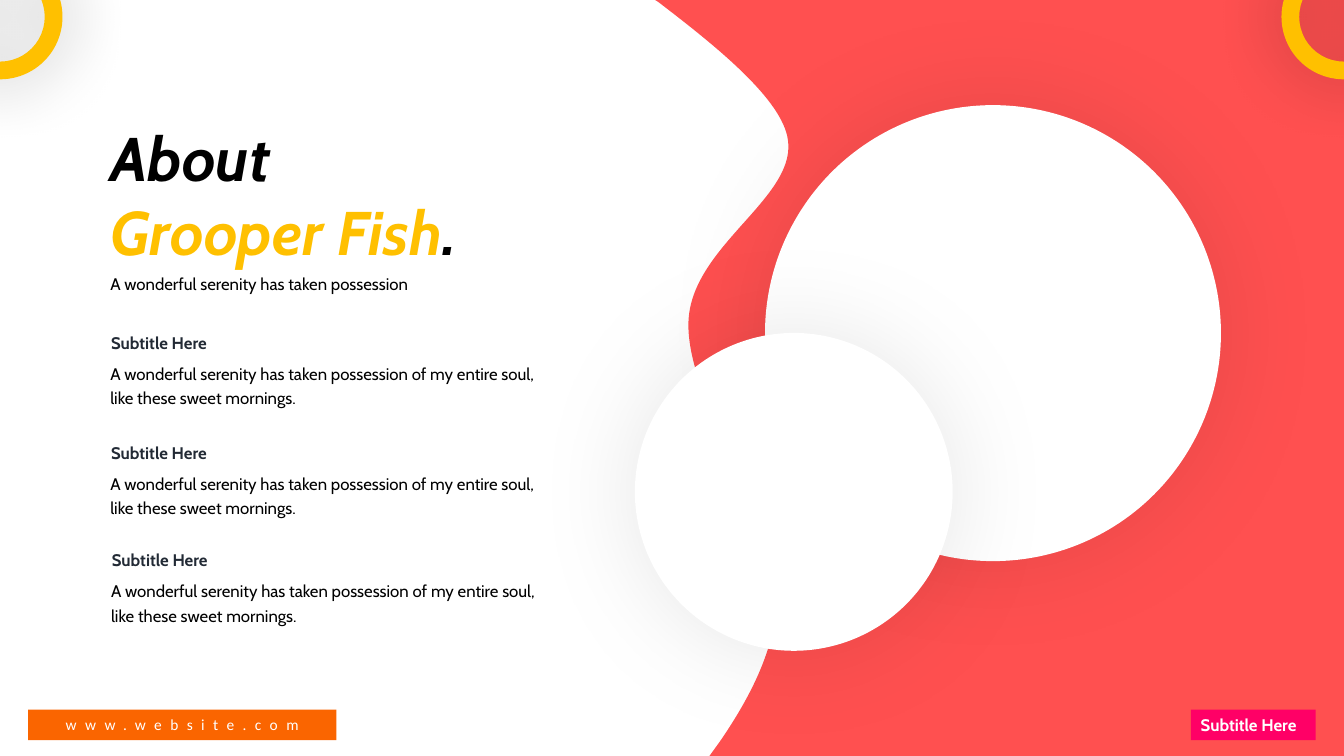
from dataclasses import dataclass

from lxml import etree
from pptx import Presentation
from pptx.dml.color import RGBColor
from pptx.enum.shapes import MSO_SHAPE
from pptx.enum.text import MSO_ANCHOR, MSO_AUTO_SIZE, PP_ALIGN
from pptx.oxml.ns import qn
from pptx.shapes.autoshape import Shape
from pptx.slide import Slide
from pptx.util import Cm, Pt

ELLIPSE, DONUT = MSO_SHAPE.OVAL, MSO_SHAPE.DONUT
RECTANGLE, ROUNDED = MSO_SHAPE.RECTANGLE, MSO_SHAPE.ROUNDED_RECTANGLE
TOP, MIDDLE = MSO_ANCHOR.TOP, MSO_ANCHOR.MIDDLE
LEFT, CENTER = PP_ALIGN.LEFT, PP_ALIGN.CENTER
GROW = MSO_AUTO_SIZE.SHAPE_TO_FIT_TEXT

SLIDE_WIDTH, SLIDE_HEIGHT = 33.87, 19.05
BLACK, WHITE, SLATE = "000000", "FFFFFF", "222A35"
CORAL, GOLD, PINK, ORANGE = "FF5050", "FFC000", "FF0066", "FA6500"

Point = tuple[float, float]


@dataclass
class Box:
    left: float
    top: float
    width: float
    height: float

    def lengths(self) -> tuple[Cm, Cm, Cm, Cm]:
        return Cm(self.left), Cm(self.top), Cm(self.width), Cm(self.height)


@dataclass
class Style:
    size: float = 12
    color: str = BLACK
    bold: bool = False
    italic: bool = False
    line_spacing: float | None = None
    font: str = "Cabin"


@dataclass
class Shadow:
    opacity: int  # percent
    blur: float  # points


@dataclass
class Section:
    left: float
    top: float


TITLE = Style(size=44, bold=True, italic=True)
TAGLINE = Style(line_spacing=1.5)
HEADING = Style(color=SLATE, bold=True, line_spacing=1.3)
BODY = Style(line_spacing=1.2)
TAG = Style(color=WHITE, bold=True)
WEBSITE = Style(size=11, color=WHITE, font="Calibri")

CIRCLE_SHADOW = Shadow(opacity=9, blur=77)
RING_SHADOW = Shadow(opacity=33, blur=49)
CIRCLES = [Box(19.28, 2.65, 11.49, 11.49), Box(16, 8.39, 8.01, 8.01)]
RING_SIZE, RING_TOP = 3.15, -1.15

TEXT_LEFT = 2.53
SECTIONS = [Section(TEXT_LEFT, 8.1), Section(TEXT_LEFT, 10.87), Section(2.55, 13.58)]
HEADING_INDENT, BODY_DROP = 0.02, 0.84
SUBTITLE = "Subtitle Here"
SENTENCE = "A wonderful serenity has taken possession"
SECTION_TEXT = SENTENCE + " of my entire soul, like these sweet mornings."

WAVE_TOP: list[Point] = [(16.51, 0), (16.59, 0.05)]
WAVE_CURVES: list[tuple[Point, Point, Point]] = [
    ((17.88, 1.04), (19.61, 2.39), (19.84, 3.43)),
    ((20.19, 4.95), (17.4, 6.17), (17.35, 8.13)),
    ((17.3, 10.08), (19.58, 13.18), (19.56, 15.19)),
    ((19.53, 16.43), (18.82, 17.7), (18.14, 18.69)),
]
WAVE_END: list[Point] = [(17.88, SLIDE_HEIGHT), (SLIDE_WIDTH, SLIDE_HEIGHT), (SLIDE_WIDTH, 0)]


def rgb(color: str) -> RGBColor:
    return RGBColor.from_string(color)


def paint(shape: Shape, color: str) -> None:
    shape.fill.solid()
    shape.fill.fore_color.rgb = rgb(color)
    shape.line.fill.background()
    shape.shadow.inherit = False


def add_glow(shape: Shape, shadow: Shadow) -> None:
    """Add a soft shadow centred behind the shape."""
    effects = shape._element.spPr.find(qn("a:effectLst"))
    outer = etree.SubElement(effects, qn("a:outerShdw"), blurRad=str(Pt(shadow.blur)),
                             dist="0", dir="0", algn="ctr", rotWithShape="0")
    color = etree.SubElement(outer, qn("a:srgbClr"), val=BLACK)
    etree.SubElement(color, qn("a:alpha"), val=str(shadow.opacity * 1000))


def add_filled(slide: Slide, kind: MSO_SHAPE, box: Box, color: str) -> Shape:
    shape = slide.shapes.add_shape(kind, *box.lengths())
    paint(shape, color)
    return shape


def write(shape: Shape, lines: list[str], style: Style, align: PP_ALIGN = LEFT) -> None:
    frame = shape.text_frame
    for index, line in enumerate(lines):
        paragraph = frame.add_paragraph() if index else frame.paragraphs[0]
        paragraph.text = line
        paragraph.alignment = align
        paragraph.line_spacing = style.line_spacing
        font = paragraph.font
        font.name, font.size = style.font, Pt(style.size)
        font.bold, font.italic = style.bold, style.italic
        font.color.rgb = rgb(style.color)


def add_text(slide: Slide, box: Box, lines: list[str], style: Style) -> Shape:
    text_box = slide.shapes.add_textbox(*box.lengths())
    text_box.text_frame.word_wrap = True
    text_box.text_frame.auto_size = GROW
    write(text_box, lines, style)
    return text_box


def add_wave(slide: Slide) -> None:
    """Draw the outline with straight lines, then merge each three into a curve."""
    curve_points = [point for curve in WAVE_CURVES for point in curve]
    corners = [(Cm(x), Cm(y)) for x, y in WAVE_TOP + curve_points + WAVE_END]
    builder = slide.shapes.build_freeform(*corners[0])
    builder.add_line_segments(corners[1:], close=True)
    wave = builder.convert_to_shape()
    paint(wave, CORAL)

    lines = list(wave._element.iter(qn("a:lnTo")))
    first = len(WAVE_TOP) - 1
    for start in range(first, first + len(curve_points), 3):
        curve = etree.Element(qn("a:cubicBezTo"))
        lines[start].addprevious(curve)
        for line in lines[start:start + 3]:
            curve.append(line[0])
            line.getparent().remove(line)


def add_title(slide: Slide) -> None:
    title = add_text(slide, Box(TEXT_LEFT, 2.9, 13.26, 4.01), ["About", "Grooper Fish"], TITLE)
    name = title.text_frame.paragraphs[1]
    name.runs[0].font.color.rgb = rgb(GOLD)
    name.add_run().text = "."


def add_section(slide: Slide, section: Section) -> None:
    body = Box(section.left, section.top + BODY_DROP, 11.2, 1.42)
    add_text(slide, body, [SECTION_TEXT], BODY)
    heading = Box(section.left + HEADING_INDENT, section.top, 3.2, 0.86)
    add_text(slide, heading, [SUBTITLE], HEADING)


def add_footer(slide: Slide) -> None:
    tag = add_filled(slide, RECTANGLE, Box(30.01, 17.88, 3.15, 0.77), PINK)
    tag.text_frame.word_wrap = False
    tag.text_frame.auto_size = GROW
    tag.text_frame.vertical_anchor = TOP
    write(tag, [SUBTITLE], TAG)

    website = add_filled(slide, ROUNDED, Box(0.71, 17.88, 7.77, 0.77), ORANGE)
    website.adjustments[0] = 0
    website.text_frame.vertical_anchor = MIDDLE
    write(website, ["www.website.com"], WEBSITE, CENTER)
    run = website.text_frame.paragraphs[0].runs[0]
    run.font._element.set("spc", "600")


def main() -> None:
    presentation = Presentation()
    presentation.slide_width = Cm(SLIDE_WIDTH)
    presentation.slide_height = Cm(SLIDE_HEIGHT)
    slide = presentation.slides.add_slide(presentation.slide_layouts[6])

    add_wave(slide)
    for circle in CIRCLES:
        add_glow(add_filled(slide, ELLIPSE, circle, WHITE), CIRCLE_SHADOW)
    add_text(slide, Box(TEXT_LEFT, 6.52, 11.23, 0.94), [SENTENCE], TAGLINE)
    add_title(slide)
    for section in SECTIONS:
        add_section(slide, section)
    add_footer(slide)
    for center in (0, SLIDE_WIDTH):
        box = Box(center - RING_SIZE / 2, RING_TOP, RING_SIZE, RING_SIZE)
        ring = add_filled(slide, DONUT, box, GOLD)
        ring.adjustments[0] = 0.142
        add_glow(ring, RING_SHADOW)
    presentation.save("out.pptx")


if __name__ == "__main__":
    main()
